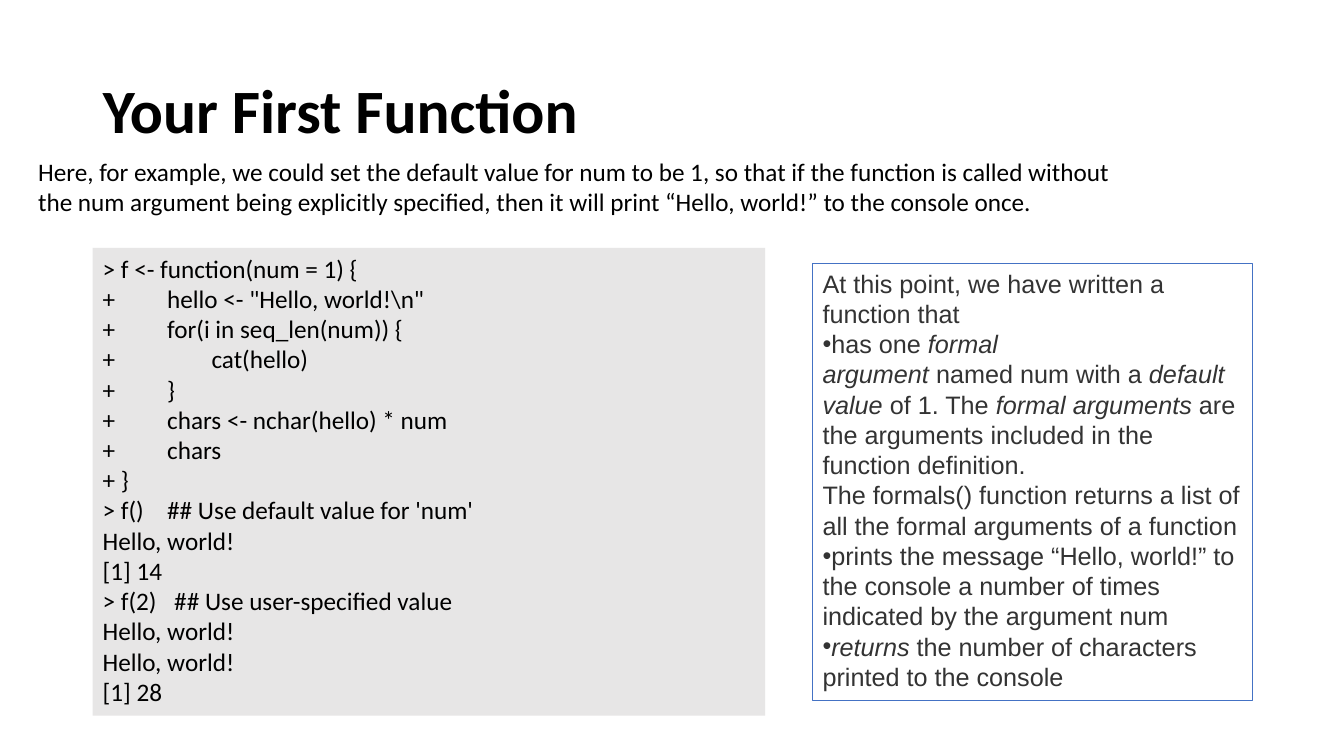
from lxml import etree
from pptx import Presentation
from pptx import util as u
from pptx.dml.color import RGBColor
from pptx.enum import shapes, text
from pptx.oxml.ns import qn

# A tilde in the wording stands for a no-break space
NO_BREAK_SPACE = chr(160)

INTRO = (
    "Here, for example, we could set the default value for~num~to be 1, "
    "so that if the function is called without the~num~argument being "
    "explicitly specified, then it will print “Hello, world!” to the console once."
)

# Each code line with the tab stop, in inches, that its gap reaches
CODE = [
    ("> f <- function(num = 1) {", None),
    ('+\thello <- "Hello, world!\\n"', 0.64),
    ("+\tfor(i in seq_len(num)) {", 0.64),
    ("+\tcat(hello)", 1.08),
    ("+\t}", 0.64),
    ("+\tchars <- nchar(hello) * num", 0.64),
    ("+\tchars", 0.64),
    ("+ }", None),
    ("> f()\t## Use default value for 'num'", 0.64),
    ("Hello, world!", None),
    ("[1] 14", None),
    ("> f(2)\t## Use user-specified value", 0.71),
    ("Hello, world!", None),
    ("Hello, world!", None),
    ("[1] 28", None),
]

# Each bullet as (wording, italic) pieces
BULLETS = [
    [
        ("has one~", False),
        ("formal argument", True),
        ("~named~num~with a~", False),
        ("default value", True),
        ("~of 1. The~", False),
        ("formal arguments", True),
        ("~are the arguments included in the function definition. "
         "The~formals()~function returns a list of all the formal "
         "arguments of a function", False),
    ],
    [("prints the message “Hello, world!” to the console a number of times "
      "indicated by the argument~num", False)],
    [("returns", True),
     ("~the number of characters printed to the console", False)],
]


def color(value):
    return RGBColor.from_string(value)


def place(shape, left, top, width, height):
    shape.left, shape.top = u.Inches(left), u.Inches(top)
    shape.width, shape.height = u.Inches(width), u.Inches(height)


def prepare_frame(shape, anchor=text.MSO_ANCHOR.TOP):
    frame = shape.text_frame
    frame.word_wrap = True
    frame.auto_size = text.MSO_AUTO_SIZE.NONE
    frame.vertical_anchor = anchor
    return frame


def add_text(paragraph, wording, *, size=18, font="Calibri", fill="000000",
             bold=False, italic=False):
    run = paragraph.add_run()
    run.text = wording.replace("~", NO_BREAK_SPACE)
    run.font.size = u.Pt(size)
    run.font.name = font
    run.font.color.rgb = color(fill)
    run.font.bold = bold
    run.font.italic = italic


def next_paragraph(frame):
    first = frame.paragraphs[0]
    paragraph = frame.add_paragraph() if first.runs else first
    paragraph.alignment = text.PP_ALIGN.LEFT
    return paragraph


def set_tab(paragraph, inches):
    properties = paragraph._p.get_or_add_pPr()
    stops = etree.SubElement(properties, qn("a:tabLst"))
    etree.SubElement(stops, qn("a:tab"), pos=str(u.Inches(inches)), algn="l")


def set_bullet(paragraph):
    properties = paragraph._p.get_or_add_pPr()
    properties.set("marL", "0")
    properties.set("indent", "0")
    etree.SubElement(properties, qn("a:buFont"), typeface="Arial")
    etree.SubElement(properties, qn("a:buChar"), char="•")


def add_panel(slide, left, top, width, height, fill=None, line=None):
    panel = slide.shapes.add_shape(
        shapes.MSO_SHAPE.RECTANGLE, u.Inches(left), u.Inches(top),
        u.Inches(width), u.Inches(height))
    panel.shadow.inherit = False
    if fill:
        panel.fill.solid()
        panel.fill.fore_color.rgb = color(fill)
    else:
        panel.fill.background()
    if line:
        panel.line.color.rgb = color(line)
        panel.line.width = u.Pt(0.75)
    else:
        panel.line.fill.background()
    return prepare_frame(panel)


def add_title(slide, wording):
    title = slide.shapes.title
    place(title, 0.92, 0.4, 11.5, 1.45)
    paragraph = next_paragraph(prepare_frame(title, text.MSO_ANCHOR.MIDDLE))
    paragraph.line_spacing = 0.9
    add_text(paragraph, wording, size=44, bold=True)


def add_intro(slide):
    box = slide.shapes.add_textbox(
        u.Inches(0.28), u.Inches(1.5), u.Inches(12.14), u.Inches(1.31))
    add_text(next_paragraph(prepare_frame(box)), INTRO)


def add_code(slide):
    frame = add_panel(slide, 0.92, 2.46, 6.67, 4.64, fill="E7E6E6")
    for line, stop in CODE:
        paragraph = next_paragraph(frame)
        if stop:
            set_tab(paragraph, stop)
        add_text(paragraph, line)


def add_summary(slide):
    frame = add_panel(slide, 8.06, 2.61, 4.36, 4.34, line="4472C4")
    style = {"font": "Arial", "fill": "333333"}
    add_text(next_paragraph(frame),
             "At this point, we have written a function that", **style)
    for pieces in BULLETS:
        paragraph = next_paragraph(frame)
        set_bullet(paragraph)
        for wording, italic in pieces:
            add_text(paragraph, wording, italic=italic, **style)


def main():
    presentation = Presentation()
    presentation.slide_width = u.Inches(13.33)
    presentation.slide_height = u.Inches(7.5)
    title_only = presentation.slide_layouts[5]
    slide = presentation.slides.add_slide(title_only)

    # Heading and introduction
    add_title(slide, "Your First Function")
    add_intro(slide)

    # Console session on the left, explanation on the right
    add_code(slide)
    add_summary(slide)

    presentation.save("out.pptx")


if __name__ == "__main__":
    main()
